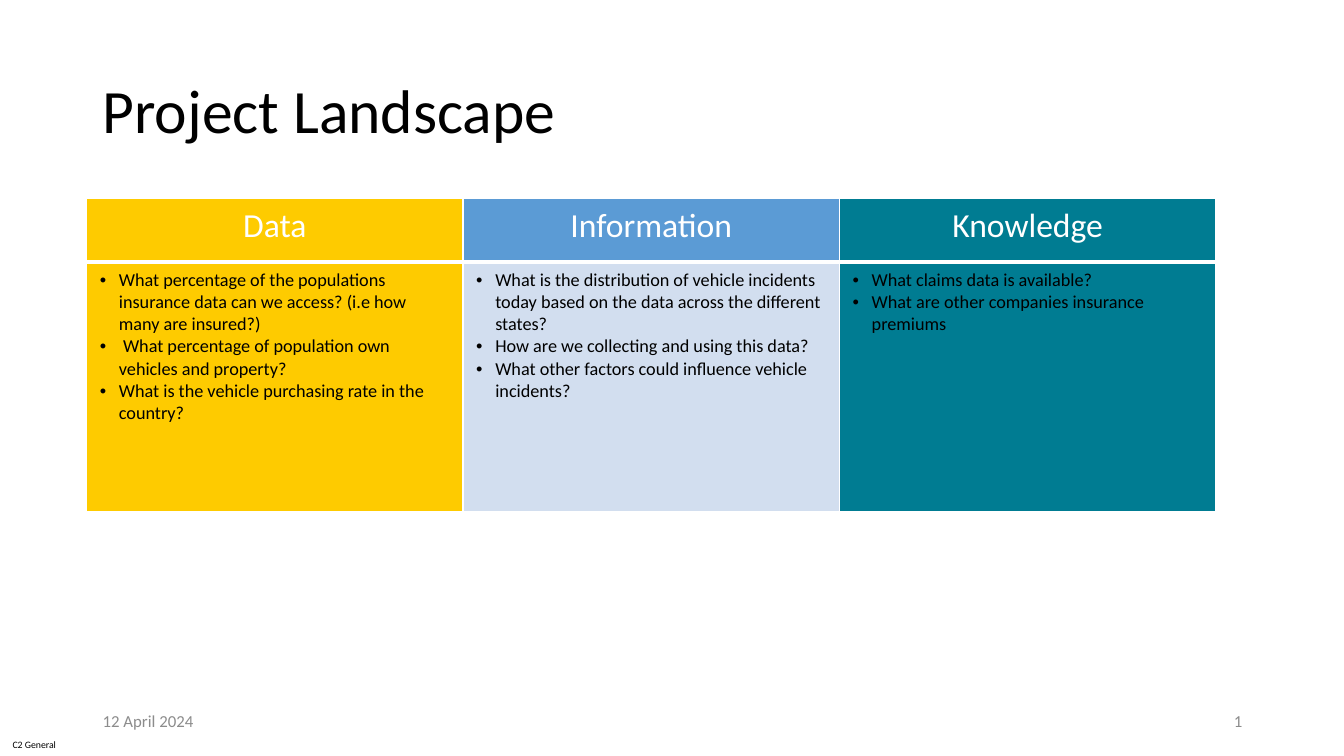
from pptx import Presentation
from pptx.dml.color import RGBColor
from pptx.enum.text import MSO_ANCHOR, PP_ALIGN
from pptx.oxml.ns import qn
from pptx.util import Inches, Pt
from lxml import etree

LEFT, CENTER, RIGHT = PP_ALIGN.LEFT, PP_ALIGN.CENTER, PP_ALIGN.RIGHT
MIDDLE = MSO_ANCHOR.MIDDLE
FONT = "Calibri"
BLACK, WHITE, GREY = "000000", "FFFFFF", "8C8C8C"

# Content: text, (left, top, width, height), size, colour, alignment, inset
LABELS = [
    ("C2 General", (0, 7.27, 0.68, 0.23), 7, BLACK, CENTER, 0),
    ("1", (9.42, 6.95, 3, 0.4), 12, GREY, RIGHT, 0.1),
    ("12 April 2024", (0.92, 6.95, 3, 0.4), 12, GREY, LEFT, 0.1),
    ("Project Landscape", (0.92, 0.4, 11.5, 1.45), 44, BLACK, LEFT, 0.1),
]

# Content: heading, heading fill, body fill, questions
COLUMNS = [
    ("Data", "FECB00", "FECB00", [
        "What percentage of the populations insurance data can we access? "
        "(i.e how many are insured?)",
        " What percentage of population own vehicles and property?",
        "What is the vehicle purchasing rate in the country?",
    ]),
    ("Information", "5B9BD5", "D2DEEF", [
        "What is the distribution of vehicle incidents today based on the data "
        "across the different states?",
        "How are we collecting and using this data?",
        "What other factors could influence vehicle incidents?",
    ]),
    ("Knowledge", "007C92", "007C92", [
        "What claims data is available?",
        "What are other companies insurance premiums",
    ]),
]
TABLE_LEFT, TABLE_TOP, TABLE_WIDTH = 0.86, 1.97, 11.2
ROW_HEIGHTS = (0.63, 2.48)
BULLET_INDENT = 0.19


def color(value):
    return RGBColor.from_string(value)


def write(text_frame, lines, size, text_color, alignment):
    text_frame.text = "\n".join(lines)
    for paragraph in text_frame.paragraphs:
        paragraph.alignment = alignment
        for run in paragraph.runs:
            run.font.name = FONT
            run.font.size = Pt(size)
            run.font.color.rgb = color(text_color)


def add_label(slide, text, box, size, text_color, alignment, inset):
    shape = slide.shapes.add_textbox(*map(Inches, box))
    text_frame = shape.text_frame
    text_frame.word_wrap = True
    text_frame.vertical_anchor = MIDDLE
    text_frame.margin_left = text_frame.margin_right = Inches(inset)
    text_frame.margin_top = text_frame.margin_bottom = Inches(inset / 2)
    write(text_frame, [text], size, text_color, alignment)
    return shape


def add_bullet(paragraph):
    properties = paragraph._p.get_or_add_pPr()
    properties.set("marL", str(Inches(BULLET_INDENT)))
    properties.set("indent", str(-Inches(BULLET_INDENT)))
    etree.SubElement(properties, qn("a:buFont")).set("typeface", "Arial")
    etree.SubElement(properties, qn("a:buChar")).set("char", "•")


def set_borders(cell, widths):
    properties = cell._tc.get_or_add_tcPr()
    for position, (side, width) in enumerate(widths.items()):
        line = etree.Element(qn("a:ln" + side), w=str(Pt(width)))
        fill = etree.SubElement(line, qn("a:solidFill"))
        etree.SubElement(fill, qn("a:srgbClr")).set("val", WHITE)
        properties.insert(position, line)


def fill_cell(cell, lines, fill, size, text_color, alignment, widths):
    cell.margin_left = cell.margin_right = Inches(0.13)
    cell.margin_top = cell.margin_bottom = Inches(0.07)
    cell.fill.solid()
    cell.fill.fore_color.rgb = color(fill)
    write(cell.text_frame, lines, size, text_color, alignment)
    set_borders(cell, widths)


def add_landscape_table(slide):
    table = slide.shapes.add_table(
        len(ROW_HEIGHTS), len(COLUMNS), Inches(TABLE_LEFT), Inches(TABLE_TOP),
        Inches(TABLE_WIDTH), Inches(sum(ROW_HEIGHTS))).table
    for row, height in zip(table.rows, ROW_HEIGHTS):
        row.height = Inches(height)
    for index, (heading, head_fill, body_fill, questions) in enumerate(COLUMNS):
        table.columns[index].width = Inches(TABLE_WIDTH / len(COLUMNS))
        fill_cell(table.cell(0, index), [heading], head_fill, 24, WHITE, CENTER,
                  {"L": 1, "R": 1, "T": 1, "B": 3})
        body = table.cell(1, index)
        fill_cell(body, questions, body_fill, 13, BLACK, LEFT,
                  {"L": 1, "R": 1, "T": 1, "B": 1})
        for paragraph in body.text_frame.paragraphs:
            add_bullet(paragraph)


def main():
    presentation = Presentation()
    presentation.slide_width = Inches(13.33)
    presentation.slide_height = Inches(7.5)
    slide = presentation.slides.add_slide(presentation.slide_layouts[6])

    # Title and footer
    for label in LABELS:
        shape = add_label(slide, *label)
    shape.text_frame.paragraphs[0].line_spacing = 0.9

    # Three-column table
    add_landscape_table(slide)
    presentation.save("out.pptx")


if __name__ == "__main__":
    main()
